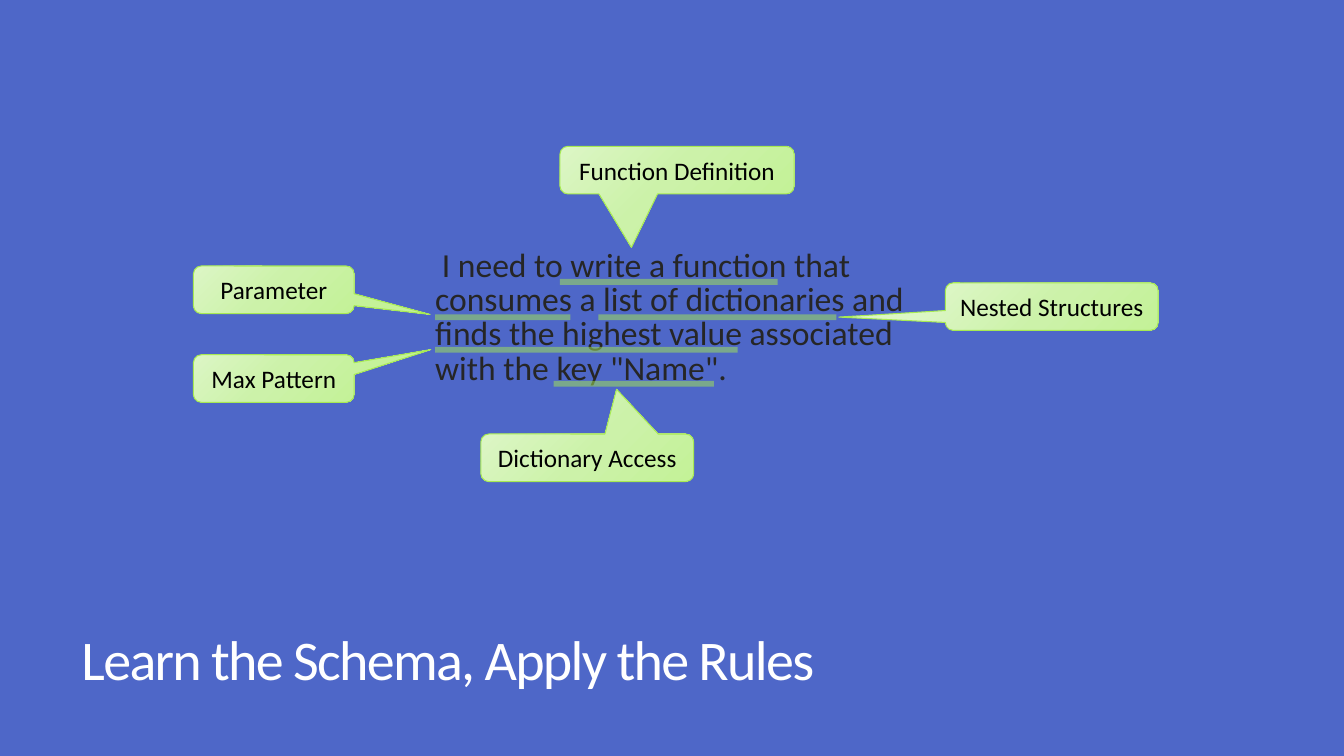
from copy import deepcopy
from lxml.etree import SubElement
from pptx import Presentation
from pptx.dml.color import RGBColor
from pptx.enum.shapes import MSO_SHAPE
from pptx.enum.text import MSO_ANCHOR, PP_ALIGN
from pptx.oxml.ns import qn
from pptx.util import Pt

BLUE = RGBColor(0x4E, 0x67, 0xC8)
GREEN = RGBColor(0xA7, 0xEA, 0x52)
SHADES = [(0, RGBColor(0xDC, 0xF6, 0xC5)), (0.5, RGBColor(0xCC, 0xF2, 0xA9)),
          (1, RGBColor(0xC4, 0xF2, 0x98))]
WHITE = RGBColor(255, 255, 255)
BLACK = RGBColor(0, 0, 0)
DARK = RGBColor(0x26, 0x26, 0x26)

deck = Presentation()
deck.slide_width, deck.slide_height = Pt(960), Pt(540)
slide = deck.slides.add_slide(deck.slide_layouts[6])
slide.background.fill.solid()
slide.background.fill.fore_color.rgb = BLUE


def style(para, size, color):
    font = para.runs[0].font
    font.name, font.size, font.color.rgb = "Calibri", Pt(size), color


def add_text(text, size, color, left, top, width, height):
    frame = slide.shapes.add_textbox(Pt(left), Pt(top), Pt(width), Pt(height)).text_frame
    frame.word_wrap = True
    para = frame.paragraphs[0]
    para.text = text
    para.line_spacing = 0.85
    style(para, size, color)
    return frame


# Title
title = add_text("Learn the Schema, Apply the Rules", 40, WHITE, 51.1, 449.3, 848.9, 48.2)
title.vertical_anchor = MSO_ANCHOR.BOTTOM
title.paragraphs[0].runs[0].font._element.set("spc", "-120")

# Problem statement, with a blank bullet and hanging indent
task = add_text("I need to write a function that consumes a list of dictionaries and "
                "finds the highest value associated with the key \"Name\".",
                24, DARK, 296.6, 175, 359.3, 121)
props = task.paragraphs[0]._p.get_or_add_pPr()
props.set("marL", str(Pt(7.2)))
props.set("indent", str(-Pt(7.2)))
SubElement(props, qn("a:buChar")).set("char", " ")

# Callouts: label, left, top, width, pointer x and y
callouts = [
    ("Max Pattern", 138.2, 253.4, 114.8, 0.977, -0.609),
    ("Dictionary Access", 343.5, 310, 152, 0.138, -1.44),
    ("Nested Structures", 675.3, 202, 152, -1.001, 0.221),
    ("Function Definition", 400, 104.5, 167.3, -0.195, 1.625),
    ("Parameter", 138.2, 190, 114.8, 0.973, 0.519),
]
for label, left, top, width, tip_x, tip_y in callouts:
    shape = slide.shapes.add_shape(MSO_SHAPE.ROUNDED_RECTANGULAR_CALLOUT,
                                   Pt(left), Pt(top), Pt(width), Pt(34))
    shape.shadow.inherit = False
    shape.adjustments[0], shape.adjustments[1] = tip_x, tip_y
    shape.fill.gradient()
    shape.fill.gradient_angle = 315
    first = next(shape._element.iter(qn("a:gs")))
    first.addnext(deepcopy(first))
    for stop, (place, shade) in zip(shape.fill.gradient_stops, SHADES):
        stop.position, stop.color.rgb = place, shade
    shape.line.color.rgb, shape.line.width = GREEN, Pt(0.75)
    frame = shape.text_frame
    frame.text = label
    frame.vertical_anchor = MSO_ANCHOR.MIDDLE
    frame.paragraphs[0].alignment = PP_ALIGN.CENTER
    style(frame.paragraphs[0], 18, BLACK)

# Half-clear underlines: left, top, width
for left, top, width in [(400, 199.3, 155.5), (310.9, 224.5, 96.5), (427.4, 224.5, 170),
                         (310.9, 247.8, 216), (395.5, 272, 114.5)]:
    bar = slide.shapes.add_shape(MSO_SHAPE.RECTANGLE, Pt(left), Pt(top), Pt(width), Pt(4.2))
    bar.shadow.inherit = False
    bar.fill.solid()
    bar.fill.fore_color.rgb = GREEN
    tint = next(bar._element.iter(qn("a:srgbClr")))
    SubElement(tint, qn("a:alpha")).set("val", "50000")
    bar.line.fill.background()

deck.save("out.pptx")
